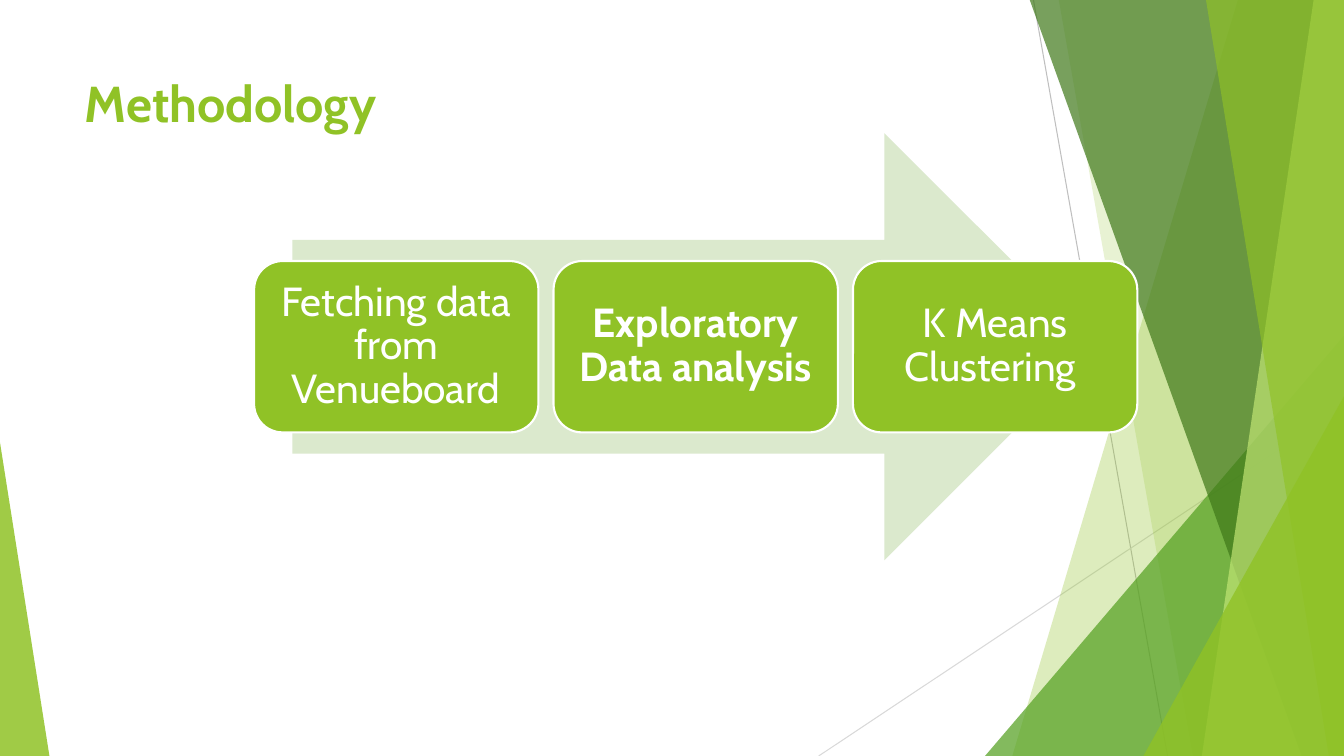
from dataclasses import dataclass

from lxml import etree
from pptx import Presentation
from pptx import util as u
from pptx.dml.color import RGBColor
from pptx.enum import shapes, text
from pptx.oxml import ns

PX = 9144  # EMU per px, 100 px to the inch
WIDTH, HEIGHT = 1333, 750
TOP = -1  # upper edge of the slanted bands


@dataclass(frozen=True)
class Theme:
    font: str = "Cabin"
    title_size: int = 36
    card_size: int = 29
    green: str = "90C226"
    leaf: str = "54A021"
    forest: str = "3F7819"
    lime: str = "C0E474"
    pale: str = "DBE9CD"
    white: str = "FFFFFF"
    grey: str = "BFBFBF"
    light_grey: str = "D9D9D9"


class SlideBuilder:
    def __init__(self, slide, theme):
        self.slide = slide
        self.theme = theme

    def paint(self, shape, color, opacity=100):
        shape.shadow.inherit = False
        shape.fill.solid()
        shape.fill.fore_color.rgb = RGBColor.from_string(color)
        shape.line.fill.background()
        if opacity < 100:
            fill = shape._element.spPr.find(ns.qn("a:solidFill"))
            alpha = etree.SubElement(fill.find(ns.qn("a:srgbClr")), ns.qn("a:alpha"))
            alpha.set("val", str(opacity * 1000))

    def add_text(self, paragraph, content, size, color, bold=False):
        run = paragraph.add_run()
        run.text = content
        run.font.name = self.theme.font
        run.font.size = u.Pt(size)
        run.font.bold = bold
        run.font.color.rgb = RGBColor.from_string(color)

    def line(self, start, end, color):
        points = [value * PX for value in (*start, *end)]
        connector = self.slide.shapes.add_connector(shapes.MSO_CONNECTOR.STRAIGHT, *points)
        connector.line.color.rgb = RGBColor.from_string(color)
        connector.line.width = u.Pt(0.75)
        properties = connector._element.spPr
        etree.SubElement(properties, ns.qn("a:effectLst"))

    def band(self, top_left, bottom_left, color, opacity):
        """Band with a slanted left side that runs to the slide's right edge."""
        builder = self.slide.shapes.build_freeform(top_left, TOP, scale=PX)
        corners = [(WIDTH, TOP), (WIDTH, HEIGHT), (bottom_left, HEIGHT)]
        builder.add_line_segments(corners, close=True)
        self.paint(builder.convert_to_shape(), color, opacity)

    def preset(self, kind, left, top, width, height, color, opacity=100):
        box = [value * PX for value in (left, top, width, height)]
        shape = self.slide.shapes.add_shape(kind, *box)
        self.paint(shape, color, opacity)
        return shape

    def corner(self, left, top, width, apex, color, opacity):
        """Right triangle standing on the slide's bottom edge."""
        shape = self.preset(shapes.MSO_SHAPE.ISOSCELES_TRIANGLE, left, top,
                            width, HEIGHT - top, color, opacity)
        shape.adjustments[0] = apex

    def title(self, content, left, top, width, height):
        title = self.slide.shapes.title
        title.left, title.top = left * PX, top * PX
        title.width, title.height = width * PX, height * PX
        frame = title.text_frame
        frame.vertical_anchor = text.MSO_ANCHOR.TOP
        frame.auto_size = text.MSO_AUTO_SIZE.NONE
        paragraph = frame.paragraphs[0]
        paragraph.alignment = text.PP_ALIGN.LEFT
        self.add_text(paragraph, content, self.theme.title_size, self.theme.green, True)

    def card(self, content, bold, left, top, width, height):
        shape = self.preset(shapes.MSO_SHAPE.ROUNDED_RECTANGLE, left, top,
                            width, height, self.theme.green)
        shape.line.color.rgb = RGBColor.from_string(self.theme.white)
        shape.line.width = u.Pt(1.5)
        frame = shape.text_frame
        frame.word_wrap = True
        frame.vertical_anchor = text.MSO_ANCHOR.MIDDLE
        # The rounded corners already inset the text by about 8 px
        frame.margin_left = frame.margin_right = 12 * PX
        frame.margin_top = frame.margin_bottom = 12 * PX
        paragraph = frame.paragraphs[0]
        paragraph.alignment = text.PP_ALIGN.CENTER
        paragraph.line_spacing = 0.9
        self.add_text(paragraph, content, self.theme.card_size, self.theme.white, bold)


def main():
    presentation = Presentation()
    presentation.slide_width = WIDTH * PX
    presentation.slide_height = HEIGHT * PX
    slide = presentation.slides.add_slide(presentation.slide_layouts[5])
    theme = Theme()
    builder = SlideBuilder(slide, theme)

    # Faceted decoration, back to front
    builder.line((1025, 0), (1158, HEIGHT), theme.grey)
    builder.line((WIDTH, 403), (812, HEIGHT), theme.light_grey)
    builder.band(1228, 1004, theme.green, 30)
    builder.band(1050, 1183, theme.green, 20)
    builder.corner(977, 333, 356, 1, theme.leaf, 72)
    builder.band(1021, 1291, theme.forest, 70)
    builder.band(1303, 1192, theme.lime, 70)
    builder.band(1196, 1318, theme.green, 65)
    builder.corner(1134, 393, 199, 1, theme.green, 80)
    builder.corner(0, 439, 49, 0, theme.green, 85)

    # Title
    builder.title("Methodology", 74, 67, 940, 144)

    # Process arrow with its evenly spaced steps
    builder.preset(shapes.MSO_SHAPE.RIGHT_ARROW, 290, 132, 799, 424, theme.pale)
    steps = [
        ("Fetching data from Venueboard", False),
        ("Exploratory Data analysis", True),
        ("K Means Clustering ", False),
    ]
    card_width, gap = 282, 15
    for index, (content, bold) in enumerate(steps):
        left = 252 + index * (card_width + gap)
        builder.card(content, bold, left, 259, card_width, 170)

    presentation.save("out.pptx")


if __name__ == "__main__":
    main()
